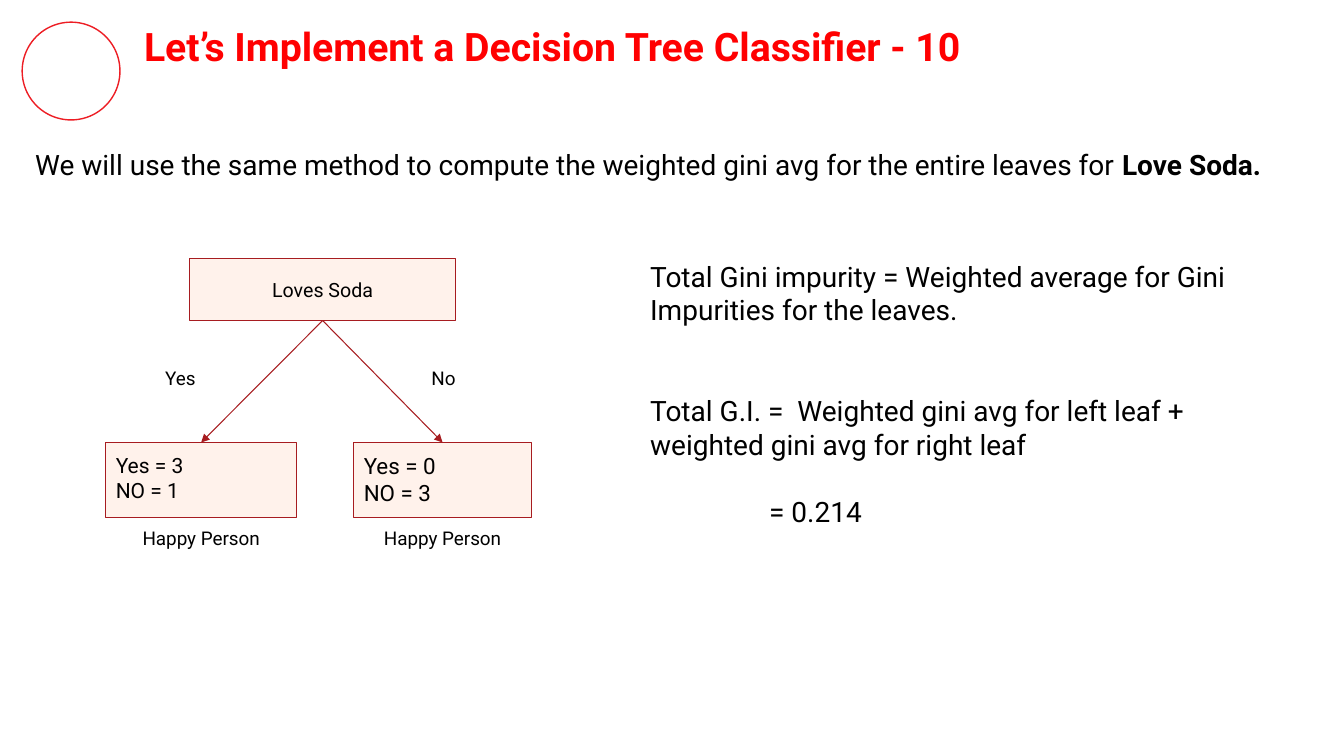
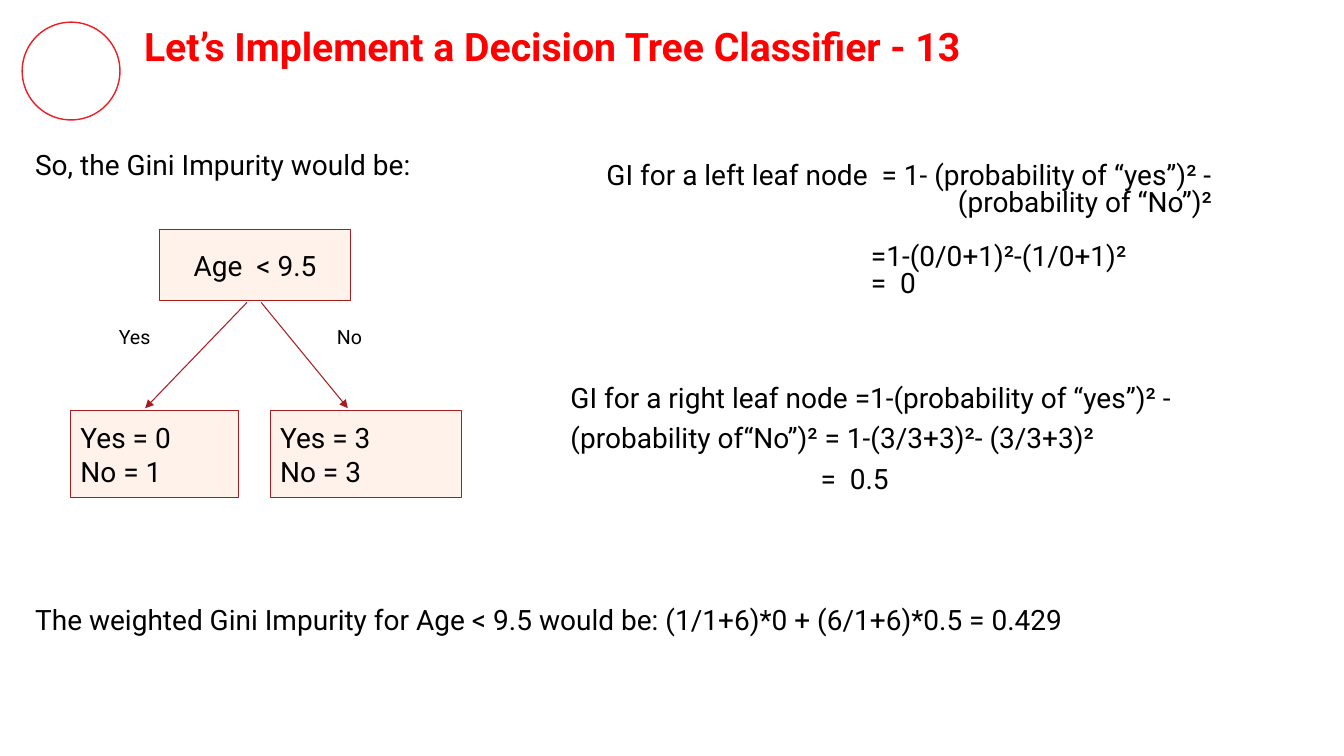
from lxml import etree
from pptx import Presentation
from pptx.dml.color import RGBColor
from pptx.enum.shapes import MSO_CONNECTOR, MSO_SHAPE
from pptx.enum.text import MSO_ANCHOR, PP_ALIGN
from pptx.oxml.ns import qn
from pptx.util import Inches, Pt

LEFT, CENTER, RIGHT = PP_ALIGN.LEFT, PP_ALIGN.CENTER, PP_ALIGN.RIGHT
TOP, MIDDLE = MSO_ANCHOR.TOP, MSO_ANCHOR.MIDDLE
RECTANGLE, PROCESS, OVAL = MSO_SHAPE.RECTANGLE, MSO_SHAPE.FLOWCHART_PROCESS, MSO_SHAPE.OVAL
STRAIGHT = MSO_CONNECTOR.STRAIGHT
BOTTOM_SITE, TOP_SITE = 2, 0


def color(hex_text):
    return RGBColor.from_string(hex_text)


class TreeDeck:
    FONT = "Roboto"
    TEXT, TITLE, RING = "000000", "FF0001", "ED1D24"
    NODE_FILL, NODE_LINE = "FFF2EB", "A71C20"

    def __init__(self):
        self.deck = Presentation()
        self.deck.slide_width, self.deck.slide_height = Inches(13.33), Inches(7.5)
        self.slide = None

    def add_slide(self, number):
        self.slide = self.deck.slides.add_slide(self.deck.slide_layouts[6])
        ring = self.slide.shapes.add_shape(
            OVAL, Inches(0.22), Inches(0.22), Inches(0.97), Inches(0.97))
        ring.shadow.inherit = False
        ring.fill.background()
        ring.line.color.rgb = color(self.RING)
        ring.line.width = Pt(1)
        title = self.text(1.33, 0.12, 11.18, 0.67)
        self.paragraph(title, f"Let’s Implement a Decision Tree Classifier - {number}",
                       size=28, bold=True, ink=self.TITLE)

    def prepare_frame(self, box, anchor):
        frame = box.text_frame
        frame.word_wrap = True
        frame.vertical_anchor = anchor
        frame.margin_left = frame.margin_right = Inches(0.1)
        frame.margin_top = frame.margin_bottom = Inches(0.1)

    def text(self, left, top, width, height, anchor=TOP):
        box = self.slide.shapes.add_textbox(
            Inches(left), Inches(top), Inches(width), Inches(height))
        self.prepare_frame(box, anchor)
        return box

    def paragraph(self, box, *texts, size=20, bold=False, ink=TEXT, align=LEFT,
                  spacing=1.0, before=0, after=0, indent=0):
        """Write one paragraph; a text given as a one-item list is bold."""
        frame = box.text_frame
        para = frame.paragraphs[0]
        if para.runs:
            para = frame.add_paragraph()
        para.alignment = align
        para.line_spacing = spacing
        para.space_before, para.space_after = Pt(before), Pt(after)
        if indent:
            para._p.get_or_add_pPr().set("marL", str(Inches(indent)))
        for item in texts:
            strong = isinstance(item, list)
            span = para.add_run()
            span.text = item[0] if strong else item
            span.font.name = self.FONT
            span.font.size = Pt(size)
            span.font.bold = bold or strong
            span.font.color.rgb = color(ink)

    def statement(self, top, *texts):
        box = self.text(0.25, top, 12.84, 0.71, MIDDLE)
        self.paragraph(box, *texts, after=12)

    def label(self, left, top, width, height, words, **style):
        self.paragraph(self.text(left, top, width, height), words, **style)

    def node(self, left, top, width, height, lines, size=20, align=LEFT,
             anchor=MIDDLE, preset=RECTANGLE):
        box = self.slide.shapes.add_shape(
            preset, Inches(left), Inches(top), Inches(width), Inches(height))
        box.shadow.inherit = False
        box.fill.solid()
        box.fill.fore_color.rgb = color(self.NODE_FILL)
        box.line.color.rgb = color(self.NODE_LINE)
        box.line.width = Pt(0.75)
        self.prepare_frame(box, anchor)
        for line in lines:
            self.paragraph(box, line, size=size, align=align)
        return box

    def arrow(self, start=(0, 0), end=(0, 0)):
        points = [Inches(value) for value in (*start, *end)]
        arrow = self.slide.shapes.add_connector(STRAIGHT, *points)
        arrow.line.color.rgb = color(self.NODE_LINE)
        arrow.line.width = Pt(0.75)
        etree.SubElement(arrow.line._get_or_add_ln(), qn("a:tailEnd"), type="triangle")
        etree.SubElement(arrow._element.spPr, qn("a:effectLst"))
        return arrow

    def link(self, parent, child):
        """Draw an arrow glued to the two nodes."""
        arrow = self.arrow()
        arrow.begin_connect(parent, BOTTOM_SITE)
        arrow.end_connect(child, TOP_SITE)


def add_soda_slide(deck):
    deck.add_slide(10)
    deck.statement(1.27, "We will use the same method to compute the weighted gini avg "
                   "for the entire leaves for ", ["Love Soda."])

    total = deck.text(6.35, 2.47, 6.2, 1.45)
    deck.paragraph(total, "Total Gini impurity = Weighted average for Gini "
                   "Impurities for the leaves.")
    deck.paragraph(total, "Total G.I. =  Weighted gini avg for left leaf + "
                   "weighted gini avg for right leaf", before=48)
    deck.paragraph(total, "= 0.214", before=24, indent=1.18)

    root = deck.node(1.88, 2.56, 2.64, 0.62, ["Loves Soda"], size=14, align=CENTER)
    leaves = [(1.05, 1.89, ["Yes = 3", "NO = 1"], 15),
              (3.51, 1.76, ["Yes = 0", "NO = 3"], 16)]
    for left, width, counts, size in leaves:
        leaf = deck.node(left, 4.39, width, 0.74, counts, size=size, anchor=TOP)
        deck.link(root, leaf)
        deck.label(left, 5.18, width, 0.38, "Happy Person",
                   size=13.5, align=CENTER, spacing=0.8)
    for left, answer in [(1.54, "Yes"), (4.18, "No")]:
        deck.label(left, 3.59, 0.69, 0.38, answer, size=13.5, spacing=0.8)


def add_age_slide(deck):
    deck.add_slide(13)
    deck.statement(1.27, "So, the Gini Impurity would be:")

    deck.node(1.58, 2.28, 1.9, 0.7, ["Age  < 9.5"], align=CENTER, preset=PROCESS)
    branches = [(2.45, 1.44, 0.99, "Yes", 0.7, 1.67, ["Yes = 0", "No = 1"]),
                (2.59, 3.45, 3.12, "No", 2.68, 1.9, ["Yes = 3", "No = 3"])]
    for start, end, label_left, answer, left, width, counts in branches:
        deck.arrow((start, 3), (end, 4.05))
        deck.label(label_left, 3.15, 0.69, 0.41, answer,
                   size=14, align=CENTER, spacing=0.9)
        deck.node(left, 4.07, width, 0.87, counts)

    deck.statement(5.79, "The weighted Gini Impurity for Age < 9.5 would be: "
                   "(1/1+6)*0 + (6/1+6)*0.5 = 0.429")

    left_leaf = deck.text(5.51, 1.53, 6.61, 1.62)
    deck.paragraph(left_leaf, "GI for a left leaf node  = 1- (probability of “yes”)² - "
                   "(probability of “No”)²", align=RIGHT, spacing=0.8)
    deck.paragraph(left_leaf, "=1-(0/0+1)²-(1/0+1)²", spacing=0.8, before=19, indent=3.03)
    deck.paragraph(left_leaf, "=  0", spacing=0.8, indent=3.03)

    right_leaf = deck.text(5.56, 3.61, 7.52, 1.07)
    deck.paragraph(right_leaf, "GI for a right leaf node =1-(probability of “yes”)² - "
                   "(probability of“No”)² = 1-(3/3+3)²- (3/3+3)²", spacing=1.2)
    deck.paragraph(right_leaf, "=  0.5", spacing=1.2, indent=2.48)


def main():
    deck = TreeDeck()
    add_soda_slide(deck)
    add_age_slide(deck)
    deck.deck.save("out.pptx")


if __name__ == "__main__":
    main()
